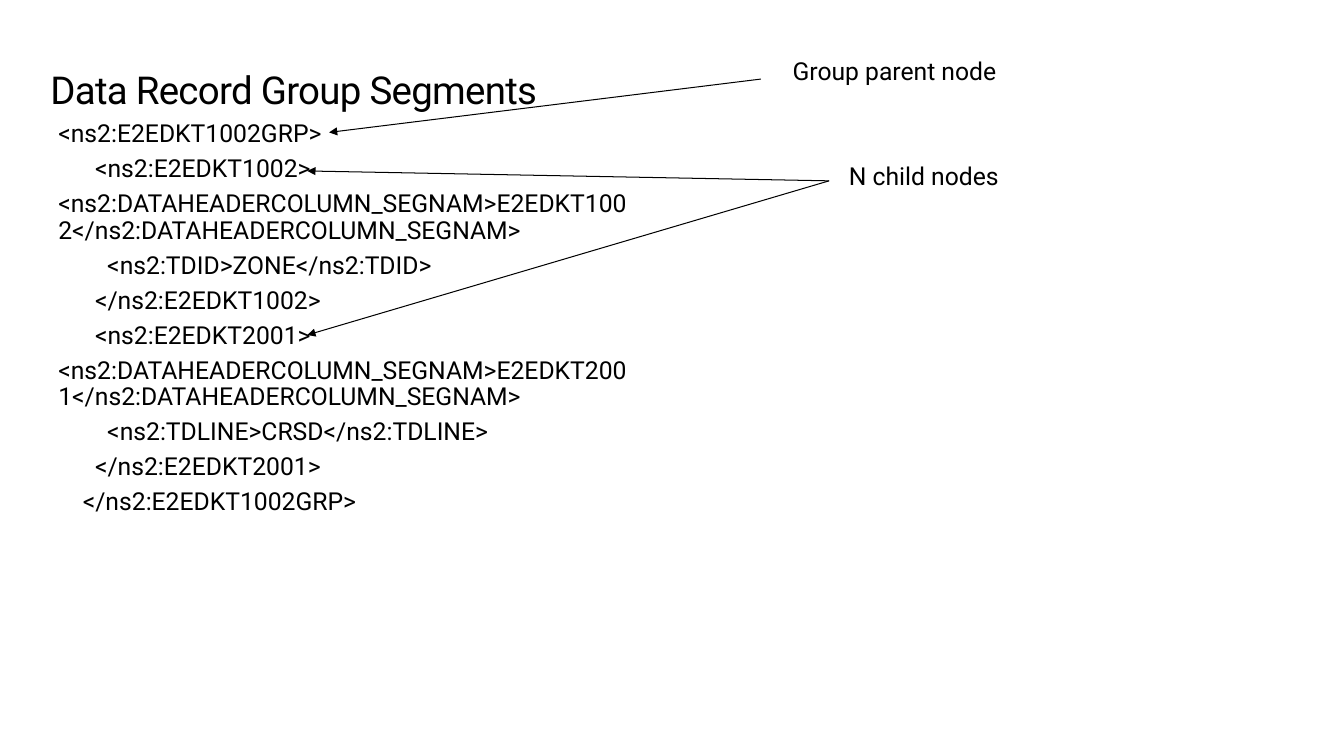
import pptx
import pptx.util
import pptx.dml.color
import pptx.enum.shapes
import pptx.enum.text
import pptx.oxml.ns
from lxml import etree

Pt = pptx.util.Pt
COLORS = {"background": "FFFFFF", "ink": "000000"}


class SlideBuilder:
    font_name = "Roboto"
    text_size = 18
    line_spacing = 0.9
    box_margins = (14.4, 11.52, 14.4, 11.52)

    def __init__(self, presentation):
        self.slide = presentation.slides.add_slide(presentation.slide_layouts[6])
        fill = self.slide.background.fill
        fill.solid()
        fill.fore_color.rgb = self.color("background")

    def color(self, name):
        return pptx.dml.color.RGBColor.from_string(COLORS[name])

    def text(self, lines, left, top, width, height, size=text_size,
             margins=box_margins, space_after=6, wrap=True, grow=True, tracking=None):
        shape = self.slide.shapes.add_textbox(Pt(left), Pt(top), Pt(width), Pt(height))
        frame = shape.text_frame
        frame.word_wrap = wrap
        auto_size = pptx.enum.text.MSO_AUTO_SIZE
        frame.auto_size = auto_size.SHAPE_TO_FIT_TEXT if grow else auto_size.NONE
        (frame.margin_left, frame.margin_top,
         frame.margin_right, frame.margin_bottom) = map(Pt, margins)
        for index, line in enumerate(lines):
            paragraph = frame.add_paragraph() if index else frame.paragraphs[0]
            paragraph.line_spacing = self.line_spacing
            paragraph.space_after = Pt(space_after)
            run = paragraph.add_run()
            run.text = line
            run.font.name = self.font_name
            run.font.size = Pt(size)
            run.font.color.rgb = self.color("ink")
            if tracking is not None:
                run._r.get_or_add_rPr().set("spc", str(int(tracking * 100)))
        return shape

    def arrow(self, start, end, source=None):
        connector = self.slide.shapes.add_connector(
            pptx.enum.shapes.MSO_CONNECTOR.STRAIGHT, *map(Pt, start + end))
        if source is not None:
            connector.begin_connect(source, 1)
        connector.line.color.rgb = self.color("ink")
        connector.line.width = Pt(0.75)
        qualified = pptx.oxml.ns.qn
        line = connector.line._get_or_add_ln()
        etree.SubElement(line, qualified("a:tailEnd"), type="triangle")
        etree.SubElement(connector._element.spPr, qualified("a:effectLst"))
        return connector


def main():
    presentation = pptx.Presentation()
    presentation.slide_width = Pt(979.2)
    presentation.slide_height = Pt(550.8)
    builder = SlideBuilder(presentation)

    # Title
    builder.text(["Data Record Group Segments"], 36.72, 44.64, 907.92, 65.52, size=28,
                 margins=(0, 7.2, 11.52, 7.2), space_after=0, grow=False, tracking=-0.5)

    # XML listing
    builder.text([
        "<ns2:E2EDKT1002GRP>",
        "      <ns2:E2EDKT1002>",
        "<ns2:DATAHEADERCOLUMN_SEGNAM>E2EDKT1002</ns2:DATAHEADERCOLUMN_SEGNAM>",
        "        <ns2:TDID>ZONE</ns2:TDID>",
        "      </ns2:E2EDKT1002>",
        "      <ns2:E2EDKT2001>",
        "<ns2:DATAHEADERCOLUMN_SEGNAM>E2EDKT2001</ns2:DATAHEADERCOLUMN_SEGNAM>",
        "        <ns2:TDLINE>CRSD</ns2:TDLINE>",
        "      </ns2:E2EDKT2001>",
        "    </ns2:E2EDKT1002GRP>",
    ], 28.08, 77.04, 452.16, 313.2)

    # Parent node label and arrow
    builder.text(["Group parent node"], 563.04, 33.12, 186.48, 43.2, wrap=False)
    builder.arrow((554.4, 57.6), (239.76, 96.48))

    # Child nodes label and arrows
    child_label = builder.text(["N child nodes"], 604.08, 110.16, 308.88, 43.2)
    for child_y in (124.56, 244.08):
        builder.arrow((604.08, 131.76), (223.92, child_y), source=child_label)

    presentation.save("out.pptx")


if __name__ == "__main__":
    main()
